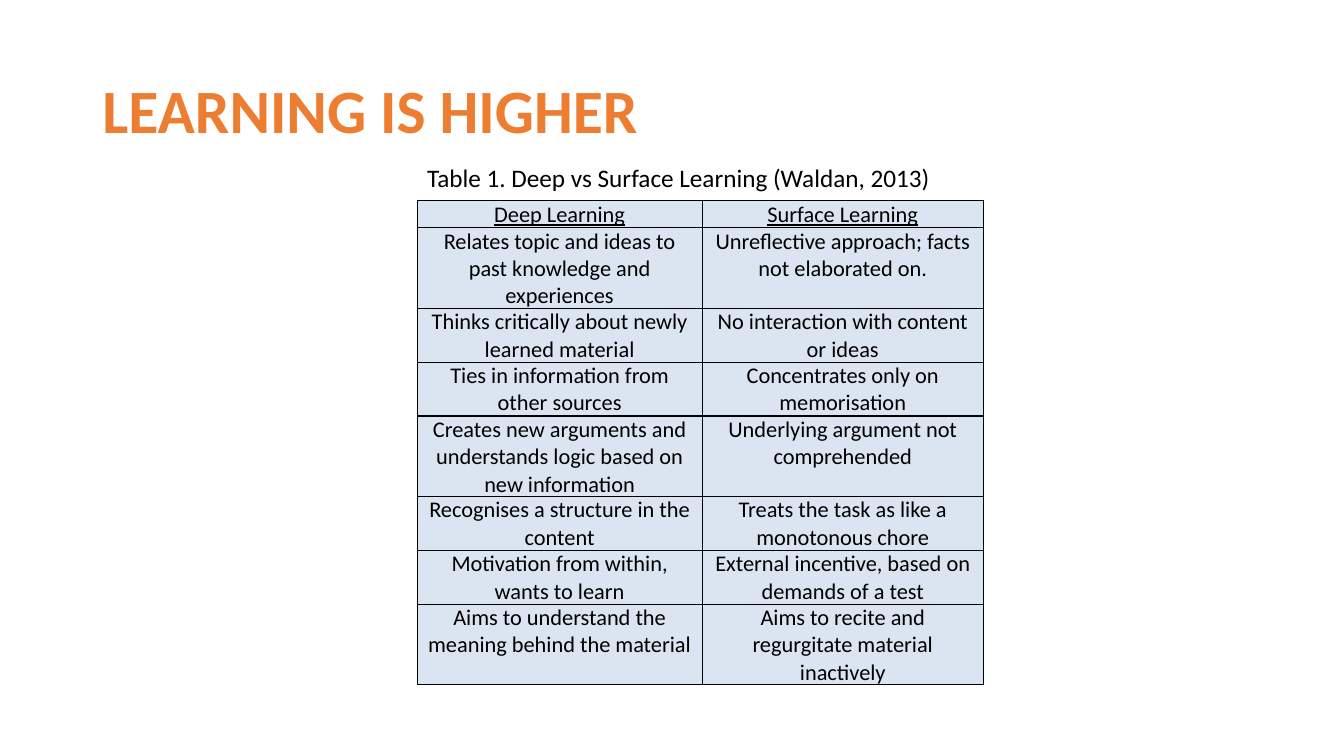
from lxml import etree
from pptx import Presentation
from pptx.dml.color import RGBColor
from pptx.enum import text
from pptx.oxml import ns
from pptx.util import Pt

# Content
TITLE = "LEARNING IS HIGHER"
CAPTION = "Table 1. Deep vs Surface Learning (Waldan, 2013)"
HEADINGS = ("Deep Learning", "Surface Learning")
# Lines of text in the row, deep learning, surface learning
COMPARISONS = [
    (3, "Relates topic and ideas to past knowledge and experiences",
     "Unreflective approach; facts not elaborated on."),
    (2, "Thinks critically about newly learned material",
     "No interaction with content or ideas"),
    (2, "Ties in information from other sources",
     "Concentrates only on memorisation"),
    (3, "Creates new arguments and understands logic based on new information",
     "Underlying argument not comprehended"),
    (2, "Recognises a structure in the content",
     "Treats the task as like a monotonous chore"),
    (2, "Motivation from within, wants to learn",
     "External incentive, based on demands of a test"),
    (3, "Aims to understand the meaning behind the material",
     "Aims to recite and regurgitate material inactively"),
]

# Style and layout, in points
FONT = "Calibri"
ORANGE = RGBColor(0xED, 0x7D, 0x31)
BLACK = RGBColor(0, 0, 0)
PALE_BLUE = RGBColor(0xDB, 0xE5, 0xF1)
TABLE_LEFT, TABLE_TOP = 298, 143.5
COLUMN_WIDTHS = (203.5, 201)
LINE_HEIGHT = 19
CELL_MARGIN = 5


def set_font(para, size, color):
    font = para.font
    font.name, font.size, font.color.rgb = FONT, Pt(size), color


def add_text(page, words, left, top, width, height, size, color):
    box = page.shapes.add_textbox(Pt(left), Pt(top), Pt(width), Pt(height))
    box.text_frame.word_wrap = True
    para = box.text_frame.paragraphs[0]
    para.text = words
    set_font(para, size, color)
    return box


def add_borders(cell):
    properties = cell._tc.get_or_add_tcPr()
    for position, side in enumerate(("lnL", "lnR", "lnT", "lnB")):
        line = etree.Element(ns.qn("a:" + side), w=str(Pt(1)))
        fill = etree.SubElement(line, ns.qn("a:solidFill"))
        etree.SubElement(fill, ns.qn("a:srgbClr"), val=str(BLACK))
        properties.insert(position, line)


def fill_cell(cell, words, underlined):
    cell.margin_left = cell.margin_right = Pt(CELL_MARGIN)
    cell.margin_top = cell.margin_bottom = 0
    cell.fill.solid()
    cell.fill.fore_color.rgb = PALE_BLUE
    add_borders(cell)
    para = cell.text_frame.paragraphs[0]
    para.text = words
    para.alignment = text.PP_ALIGN.CENTER
    set_font(para, 16, BLACK)
    para.font.bold = False
    para.font.underline = underlined


def add_comparison(page):
    rows = [(1, *HEADINGS)] + COMPARISONS
    height = LINE_HEIGHT * sum(row[0] for row in rows)
    table = page.shapes.add_table(
        len(rows), len(HEADINGS), Pt(TABLE_LEFT), Pt(TABLE_TOP),
        Pt(sum(COLUMN_WIDTHS)), Pt(height)).table
    table.horz_banding = False
    for column, width in zip(table.columns, COLUMN_WIDTHS):
        column.width = Pt(width)
    for r, (lines, *entries) in enumerate(rows):
        table.rows[r].height = Pt(lines * LINE_HEIGHT)
        for c, words in enumerate(entries):
            fill_cell(table.cell(r, c), words, underlined=r == 0)


def main():
    deck = Presentation()
    deck.slide_width, deck.slide_height = Pt(960), Pt(540)
    page = deck.slides.add_slide(deck.slide_layouts[6])

    # Title
    title = add_text(page, TITLE, 66, 28.75, 828, 104.4, 44, ORANGE)
    title.text_frame.vertical_anchor = text.MSO_ANCHOR.MIDDLE
    heading = title.text_frame.paragraphs[0]
    heading.font.bold = True
    heading.line_spacing = 0.9

    # Table and its caption
    add_comparison(page)
    caption = add_text(page, CAPTION, TABLE_LEFT, 112.5, 424, 29, 18, BLACK)
    caption.text_frame.auto_size = text.MSO_AUTO_SIZE.SHAPE_TO_FIT_TEXT

    deck.save("out.pptx")


if __name__ == "__main__":
    main()
